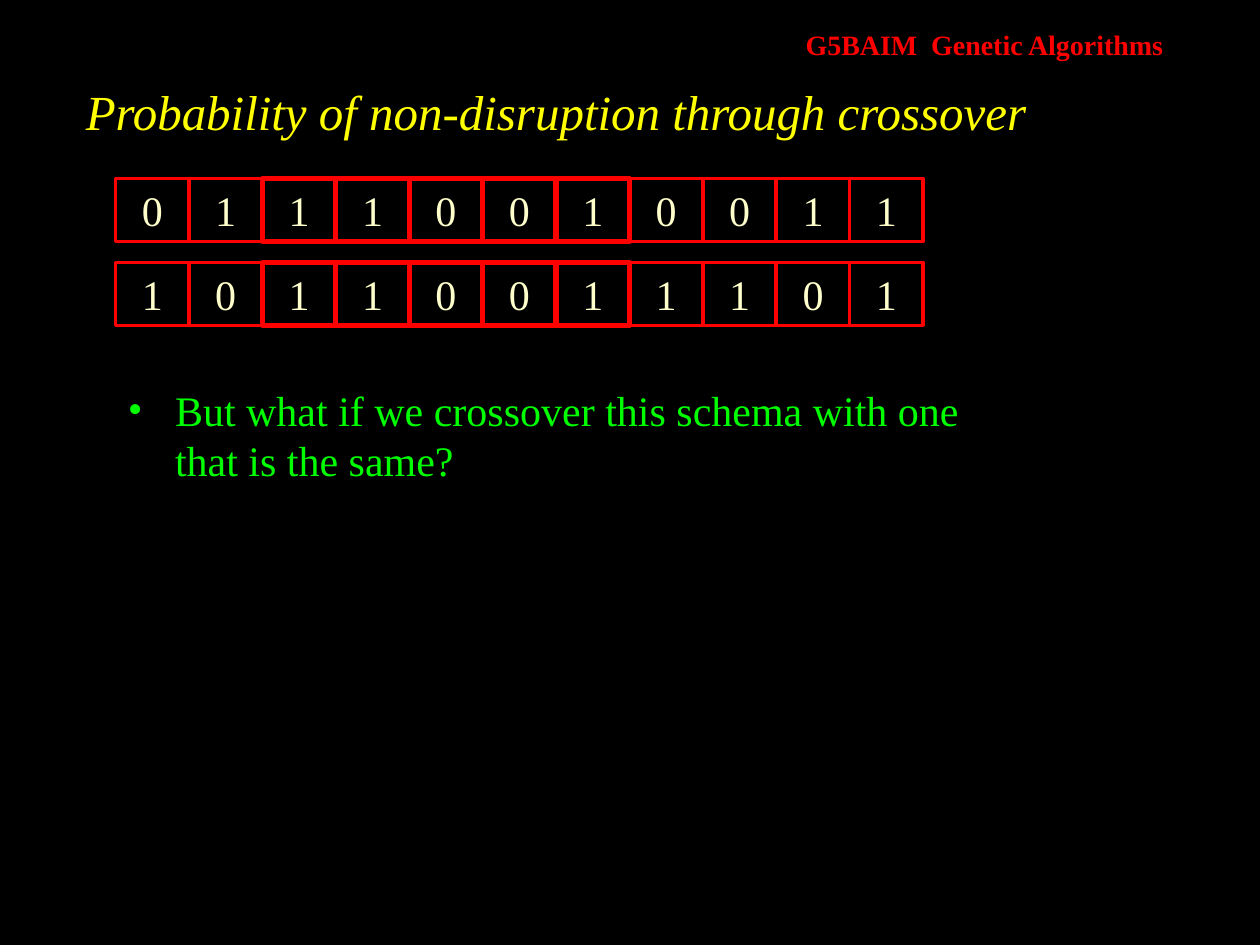
import dataclasses

import pptx
import pptx.dml.color
import pptx.enum.shapes
import pptx.enum.text
import pptx.oxml
import pptx.oxml.ns
import pptx.util
from pptx.util import Cm


@dataclasses.dataclass(frozen=True)
class Theme:
    """Colours, type and line weights of the slide."""
    font: str = "Times New Roman"
    background: str = "000000"
    course: str = "FF0000"
    heading: str = "FFFF00"
    body: str = "00FF00"
    gene: str = "FFFFCC"
    gene_border: str = "FF0000"
    course_size: int = 16
    heading_size: int = 28
    body_size: int = 24
    gene_size: int = 24
    border: int = 2
    schema_border: int = 3


THEME = Theme()
SCHEMA = range(2, 7)
GENE_WIDTH, GENE_HEIGHT = 1.48, 1.27
PARENTS_LEFT, PARENTS_TOP, PARENT_PITCH = 2.33, 3.6, 1.69


def rgb(code):
    """Return the colour for a hex code."""
    return pptx.dml.color.RGBColor.from_string(code)


def write(holder, wording, colour, size, align="LEFT", anchor="TOP", **style):
    """Put one styled paragraph in a shape and return the paragraph."""
    frame = holder.text_frame
    frame.word_wrap = True
    frame.vertical_anchor = getattr(pptx.enum.text.MSO_ANCHOR, anchor)
    paragraph = frame.paragraphs[0]
    paragraph.alignment = getattr(pptx.enum.text.PP_ALIGN, align)
    run = paragraph.add_run()
    run.text = wording
    font_format = {"name": THEME.font, "size": pptx.util.Pt(size), **style}
    for attribute, value in font_format.items():
        setattr(run.font, attribute, value)
    run.font.color.rgb = rgb(colour)
    return paragraph


def add_text(slide, box, *wording, **style):
    """Add a text box at left, top, width, height in centimetres."""
    holder = slide.shapes.add_textbox(*map(Cm, box))
    return write(holder, *wording, **style)


def add_bullet(paragraph, colour, indent):
    """Give a paragraph a coloured bullet with a hanging indent."""
    properties = paragraph._p.get_or_add_pPr()
    hanging = {"marL": Cm(indent), "indent": -Cm(indent)}
    for attribute, value in hanging.items():
        properties.set(attribute, str(int(value)))
    namespace = pptx.oxml.ns.nsdecls("a")
    for element in (
        f'<a:buClr {namespace}><a:srgbClr val="{colour}"/></a:buClr>',
        f'<a:buFont {namespace} typeface="{THEME.font}"/>',
        f'<a:buChar {namespace} char="•"/>',
    ):
        properties.append(pptx.oxml.parse_xml(element))


def add_gene(chromosome, bit, left, top, weight):
    """Add one outlined gene to a chromosome."""
    gene = chromosome.shapes.add_shape(
        pptx.enum.shapes.MSO_SHAPE.RECTANGLE,
        Cm(left), Cm(top), Cm(GENE_WIDTH), Cm(GENE_HEIGHT))
    gene.shadow.inherit = False
    gene.fill.background()
    gene.line.color.rgb = rgb(THEME.gene_border)
    gene.line.width = pptx.util.Pt(weight)
    write(gene, bit, THEME.gene, THEME.gene_size, align="CENTER")


def add_chromosome(slide, bits, top):
    """Add a grouped row of genes with the schema outlined more heavily."""
    chromosome = slide.shapes.add_group_shape()
    for position, bit in enumerate(bits):
        weight = THEME.schema_border if position in SCHEMA else THEME.border
        add_gene(chromosome, bit, PARENTS_LEFT + position * GENE_WIDTH, top, weight)


def main():
    """Build and save the slide."""
    deck = pptx.Presentation()
    deck.slide_width, deck.slide_height = Cm(25.4), Cm(19.05)
    slide = deck.slides.add_slide(deck.slide_layouts[6])
    slide.background.fill.solid()
    slide.background.fill.fore_color.rgb = rgb(THEME.background)

    add_text(slide, (1.27, 0.43, 22.43, 0.94), "G5BAIM  Genetic Algorithms",
             THEME.course, THEME.course_size, align="RIGHT", bold=True)
    add_text(slide, (1.48, 1.48, 21.59, 1.48),
             "Probability of non-disruption through crossover",
             THEME.heading, THEME.heading_size, anchor="BOTTOM", italic=True)
    question = add_text(
        slide, (2.33, 7.62, 17.99, 9.1),
        "But what if we crossover this schema with one that is the same?",
        THEME.body, THEME.body_size)
    add_bullet(question, THEME.body, 0.95)

    for row, bits in enumerate(("01110010011", "10110011101")):
        add_chromosome(slide, bits, PARENTS_TOP + row * PARENT_PITCH)

    deck.save("out.pptx")


if __name__ == "__main__":
    main()
